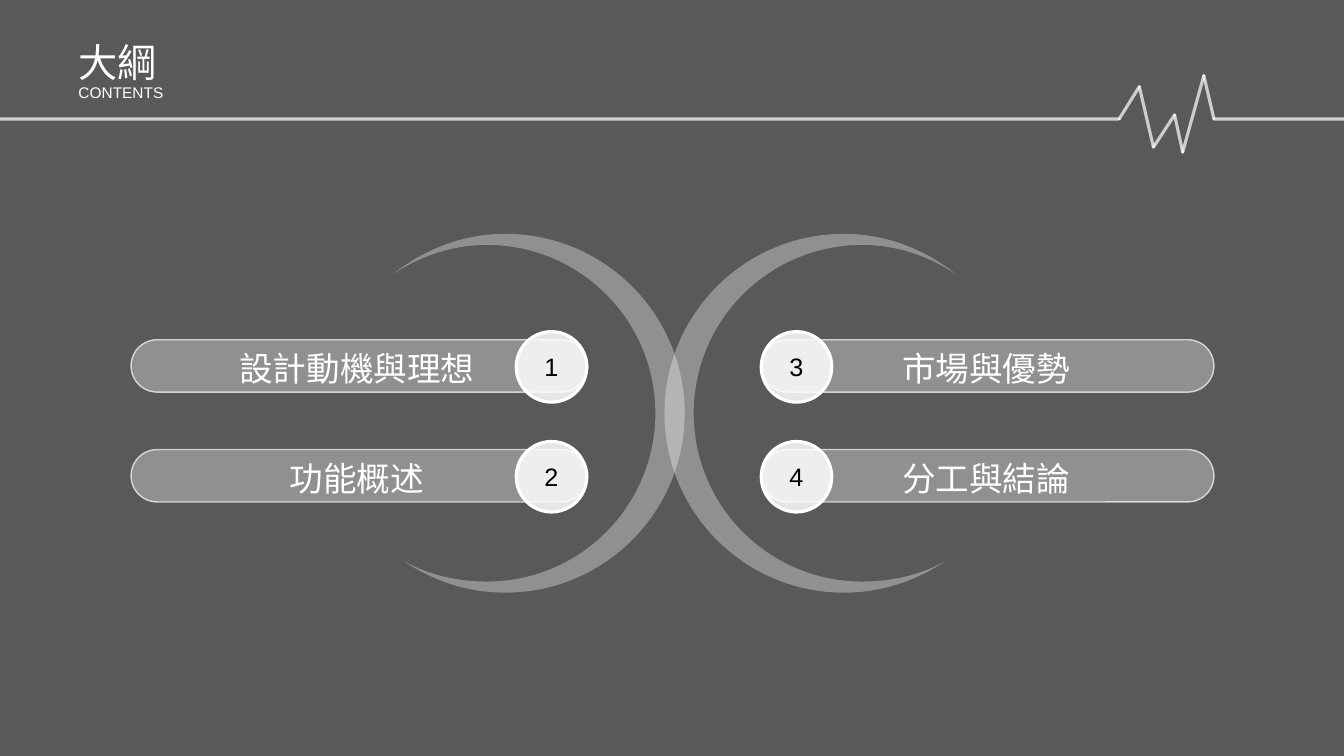
from math import atan2, tan

from lxml.etree import SubElement
from pptx import Presentation
from pptx.dml.color import RGBColor
from pptx.enum.shapes import MSO_CONNECTOR as Connector, MSO_SHAPE as Shape
from pptx.enum.text import MSO_ANCHOR as Anchor, PP_ALIGN as Align
from pptx.oxml.ns import qn
from pptx.util import Inches, Pt

TITLE, SUBTITLE = "大綱", "CONTENTS"
COLUMNS = [
    # bar left, bar width, circle left, label left, labels
    (1.3, 4.53, 5.12, 1.26, ["設計動機與理想", "功能概述"]),
    (7.55, 4.49, 7.55, 7.5, ["市場與優勢", "分工與結論"]),
]
ROW_TOP, ROW_STEP = 3.37, 1.09
PULSE = [(0, 1.18), (11.1, 1.18), (11.3, 0.86), (11.44, 1.46), (11.65, 1.14),
         (11.73, 1.51), (11.94, 0.75), (12.04, 1.18), (13.33, 1.18)]
# center x, center y, radius
OUTER_CIRCLE, INNER_CIRCLE = (5.01, 4.1, 1.78), (4.83, 4.1, 1.67)
TOP_TIP, BOTTOM_TIP = (3.9, 2.72), (4.01, 5.57)
MIRROR_SUM = 13.38  # x of a left point plus x of its mirrored point
COLORS = {"white": "FFFFFF", "mist": "FCFCFC", "black": "000000"}
FONT = "Arial"


def rgb(name):
    return RGBColor.from_string(COLORS[name])


def set_opacity(shape, parent, percent):
    """Set the opacity of the solid fill under parent ('p:spPr' or 'p:spPr/a:ln')."""
    for color in shape.element.xpath(f"./{parent}/a:solidFill/a:srgbClr"):
        SubElement(color, qn("a:alpha"), val=str(percent * 1000))


def fill_shape(shape, color, opacity):
    shape.shadow.inherit = False
    shape.fill.solid()
    shape.fill.fore_color.rgb = rgb(color)
    set_opacity(shape, "p:spPr", opacity)


def draw_outline(shape, width, opacity=100):
    shape.line.width = Pt(width)
    shape.line.color.rgb = rgb("white")
    if opacity < 100:
        set_opacity(shape, "p:spPr/a:ln", opacity)


def write(shape, text, size, color="white", align=Align.LEFT, anchor=Anchor.TOP):
    frame = shape.text_frame
    frame.word_wrap = True
    frame.vertical_anchor = anchor
    para = frame.paragraphs[0]
    para.text = text
    para.alignment = align
    para.font.name, para.font.size = FONT, Pt(size)
    para.font.color.rgb = rgb(color)
    return para


def add_backdrop(deck, page):
    backdrop = page.shapes.add_shape(Shape.RECTANGLE, 0, 0, deck.slide_width, deck.slide_height)
    fill_shape(backdrop, "black", 65)
    backdrop.line.fill.background()
    page.shapes.title.element.addprevious(backdrop.element)


def add_pulse(page):
    group = page.shapes.add_group_shape()
    for start, end in zip(PULSE, PULSE[1:]):
        line = group.shapes.add_connector(Connector.STRAIGHT, *map(Inches, start + end))
        draw_outline(line, 2.25, 70)
        line.element.xpath("./p:spPr/a:ln")[0].set("cap", "rnd")
        SubElement(line.element.spPr, qn("a:effectLst"))


def arc_points(circle, clockwise):
    """Bezier points after the first tip, three to a curve, round the right of circle."""
    x, y, radius = circle
    anchors = [TOP_TIP, (x, y - radius), (x + radius, y), (x, y + radius), BOTTOM_TIP]
    if not clockwise:
        anchors.reverse()
    points = []
    for (x1, y1), (x2, y2) in zip(anchors, anchors[1:]):
        turn = atan2(y2 - y, x2 - x) - atan2(y1 - y, x1 - x)
        reach = 4 / 3 * tan(turn / 4)
        points += [(x1 - reach * (y1 - y), y1 + reach * (x1 - x)),
                   (x2 + reach * (y2 - y), y2 - reach * (x2 - x)),
                   (x2, y2)]
    return points


def curve_segments(freeform):
    """Turn each three line segments into one cubic curve."""
    segments = freeform.element.xpath(".//a:path/a:lnTo")
    for first in range(0, len(segments) - 2, 3):
        trio = segments[first:first + 3]
        curve = SubElement(trio[0].getparent(), qn("a:cubicBezTo"))
        trio[0].addprevious(curve)
        for segment in trio:
            curve.append(segment[0])
            segment.getparent().remove(segment)


def add_crescent(page, mirrored):
    outline = [TOP_TIP, *arc_points(OUTER_CIRCLE, True), *arc_points(INNER_CIRCLE, False)]
    points = [(Inches(MIRROR_SUM - x if mirrored else x), Inches(y)) for x, y in outline]
    builder = page.shapes.build_freeform(*points[0])
    builder.add_line_segments(points[1:], close=True)
    crescent = builder.convert_to_shape()
    curve_segments(crescent)
    fill_shape(crescent, "mist", 34)
    crescent.line.fill.background()


def add_item(page, number, label, top, bar_left, bar_width, circle_left, label_left):
    shapes = page.shapes.add_group_shape().shapes
    bar = shapes.add_shape(Shape.ROUNDED_RECTANGLE, Inches(bar_left), Inches(top),
                           Inches(bar_width), Inches(0.52))
    bar.adjustments[0] = 0.5
    fill_shape(bar, "mist", 34)
    draw_outline(bar, 1, 70)

    circle = shapes.add_shape(Shape.OVAL, Inches(circle_left), Inches(top - 0.08),
                              Inches(0.7), Inches(0.7))
    fill_shape(circle, "white", 85)
    draw_outline(circle, 2.25)
    write(circle, str(number), 18, "black", Align.CENTER, Anchor.MIDDLE)

    box = shapes.add_textbox(Inches(label_left), Inches(top + 0.03), Inches(4.56), Inches(0.5))
    write(box, label, 24, align=Align.CENTER)


def main():
    deck = Presentation()
    deck.slide_width, deck.slide_height = Inches(13.33), Inches(7.5)
    page = deck.slides.add_slide(deck.slide_layouts[5])
    add_backdrop(deck, page)

    title = page.shapes.title
    title.left, title.top, title.width, title.height = map(Inches, (0.68, 0.33, 3.88, 0.57))
    write(title, TITLE, 28)
    subtitle = page.shapes.add_textbox(*map(Inches, (0.68, 0.75, 4.35, 0.3)))
    write(subtitle, SUBTITLE, 11).line_spacing = 1.14

    add_pulse(page)
    for mirrored in (False, True):
        add_crescent(page, mirrored)

    number = 0
    for *places, labels in COLUMNS:
        for row, label in enumerate(labels):
            number += 1
            add_item(page, number, label, ROW_TOP + row * ROW_STEP, *places)

    deck.save("out.pptx")


if __name__ == "__main__":
    main()
